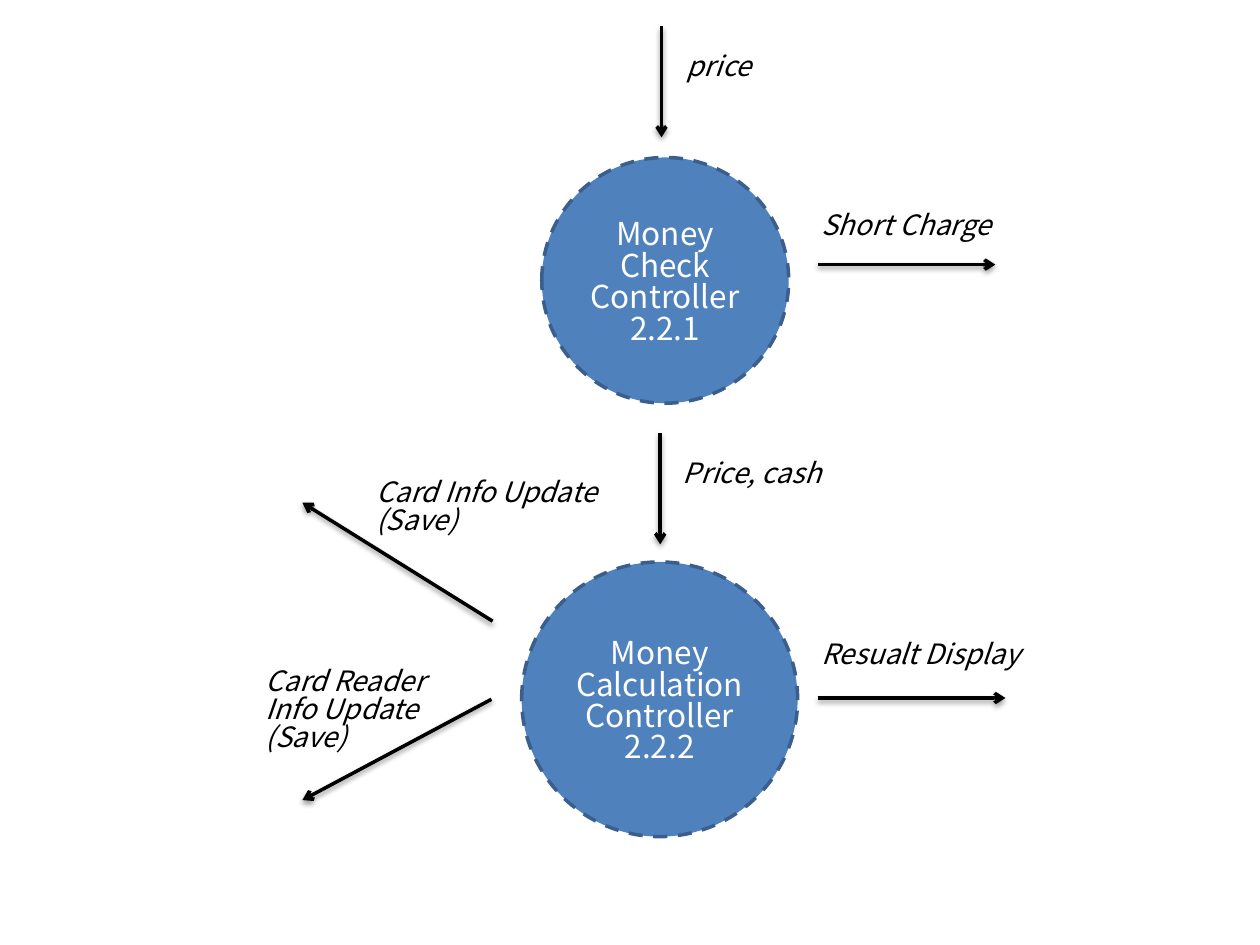
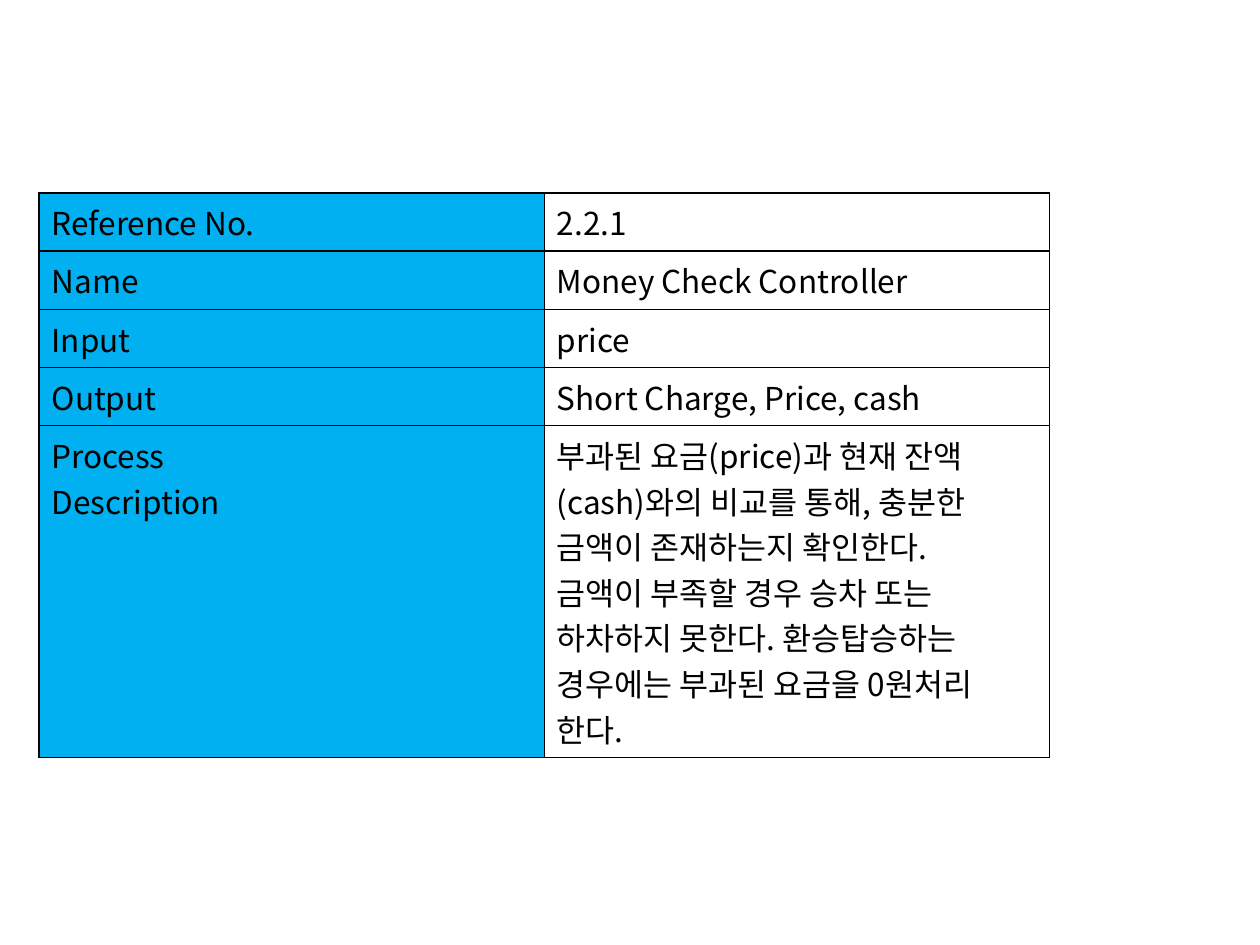
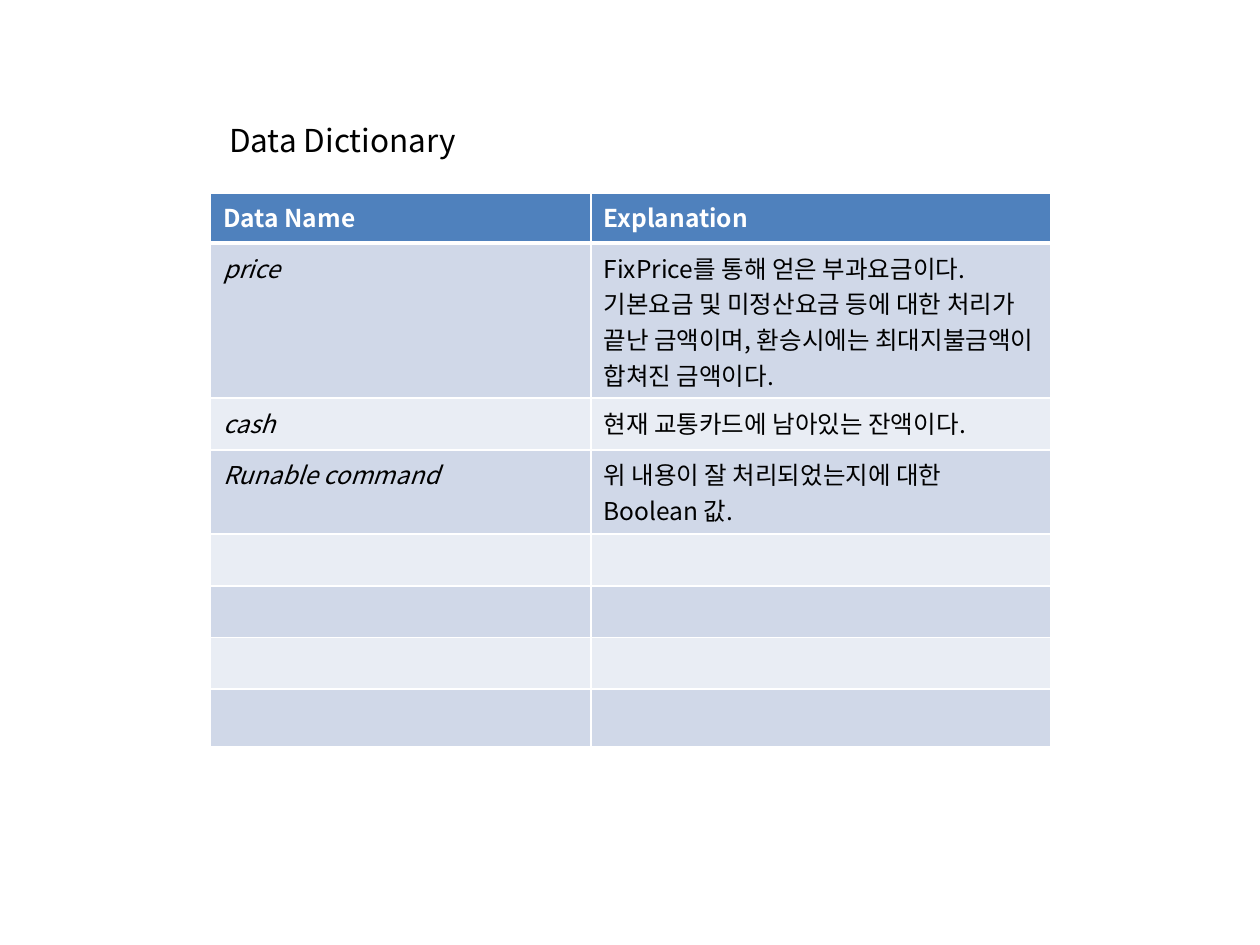
from lxml.etree import SubElement
from pptx import Presentation
from pptx.dml.color import RGBColor
from pptx.enum.dml import MSO_LINE
from pptx.enum.shapes import MSO_CONNECTOR, MSO_SHAPE
from pptx.enum.text import MSO_ANCHOR, PP_ALIGN
from pptx.oxml.ns import qn
from pptx.util import Inches, Pt

# Shared look
FONT = "Noto Sans CJK KR"
LINE_SPACING = 0.83
BLACK = RGBColor(0x00, 0x00, 0x00)
WHITE = RGBColor(0xFF, 0xFF, 0xFF)
BLUE = RGBColor(0x4F, 0x81, 0xBD)
DARK_BLUE = RGBColor(0x3A, 0x5F, 0x8C)
SKY = RGBColor(0x00, 0xB0, 0xF0)
BANDS = (RGBColor(0xD0, 0xD8, 0xE8), RGBColor(0xE9, 0xED, 0xF4))

# Data flow: left, top, width, height, lines of text
PROCESSES = [
    (4.3, 1.25, 1.96, 1.95, ["Money", "Check", "Controller", "2.2.1"]),
    (4.14, 4.46, 2.19, 2.18, ["Money", "Calculation", "Controller", "2.2.2"]),
]
FLOW_LABELS = [
    (5.35, 0.36, 2.66, 0.37, ["price"]),
    (6.42, 1.62, 2.66, 0.37, ["Short Charge"]),
    (5.32, 3.59, 2.66, 0.37, ["Price, cash"]),
    (2.89, 3.74, 2.18, 0.64, ["Card Info Update", "(Save)"]),
    (2.01, 5.24, 2.66, 0.91, ["Card Reader", "Info Update", "(Save)"]),
    (6.42, 5.03, 2.66, 0.37, ["Resualt Display"]),
]
# Start x, start y, end x, end y
FLOWS = [
    (5.25, 0.21, 5.25, 1.09),
    (6.49, 2.1, 7.9, 2.1),
    (5.24, 3.44, 5.24, 4.32),
    (3.91, 4.93, 2.4, 3.99),
    (3.9, 5.55, 2.4, 6.35),
    (6.49, 5.54, 7.98, 5.54),
]

PROCESS_ROWS = [
    (["Reference No."], ["2.2.1"]),
    (["Name"], ["Money Check Controller"]),
    (["Input"], ["price"]),
    (["Output"], ["Short Charge, Price, cash"]),
    (["Process", "Description"], [
        "부과된 요금(price)과 현재 잔액(cash)와의 비교를 통해, 충분한 금액이 존재하는지 확인한다.",
        "금액이 부족할 경우 승차 또는 하차하지 못한다. 환승탑승하는 경우에는 부과된 요금을 0원처리 한다.",
    ]),
]

DICTIONARY_HEADER = (["Data Name"], ["Explanation"])
DICTIONARY_ROWS = [
    (["price"], [
        "FixPrice를 통해 얻은 부과요금이다.",
        "기본요금 및 미정산요금 등에 대한 처리가 끝난 금액이며, 환승시에는 최대지불금액이 합쳐진 금액이다.",
    ]),
    (["cash"], ["현재 교통카드에 남아있는 잔액이다."]),
    (["Runable command"], ["위 내용이 잘 처리되었는지에 대한 Boolean 값."]),
]
EMPTY_ROWS = 4


def write_lines(frame, lines, size, color=BLACK, bold=False, italic=False,
                align=PP_ALIGN.LEFT, spacing=None):
    """Write each line as a paragraph of one run."""
    for index, line in enumerate(lines):
        para = frame.add_paragraph() if index else frame.paragraphs[0]
        para.alignment = align
        if spacing:
            para.line_spacing = spacing
        span = para.add_run()
        span.text = line
        span.font.name = FONT
        span.font.size = Pt(size)
        span.font.bold = bold
        span.font.italic = italic
        span.font.color.rgb = color
        SubElement(span.font._element, qn("a:ea"), typeface=FONT)


def add_label(page, left, top, width, height, lines, size=16, italic=True):
    box = page.shapes.add_textbox(Inches(left), Inches(top), Inches(width), Inches(height))
    box.text_frame.word_wrap = True
    box.text_frame.margin_top = Inches(0.07)
    write_lines(box.text_frame, lines, size, italic=italic, spacing=LINE_SPACING)


def add_process(page, left, top, width, height, lines):
    circle = page.shapes.add_shape(MSO_SHAPE.OVAL, Inches(left), Inches(top),
                                   Inches(width), Inches(height))
    circle.shadow.inherit = False
    circle.fill.solid()
    circle.fill.fore_color.rgb = BLUE
    circle.line.color.rgb = DARK_BLUE
    circle.line.width = Pt(2)
    circle.line.dash_style = MSO_LINE.DASH
    frame = circle.text_frame
    frame.word_wrap = False
    frame.vertical_anchor = MSO_ANCHOR.MIDDLE
    frame.margin_top = Inches(0.1)
    write_lines(frame, lines, 18, WHITE, align=PP_ALIGN.CENTER, spacing=LINE_SPACING)


def add_flow(page, start_x, start_y, end_x, end_y):
    """Draw an arrow with a soft shadow below it."""
    arrow = page.shapes.add_connector(MSO_CONNECTOR.STRAIGHT, Inches(start_x), Inches(start_y),
                                      Inches(end_x), Inches(end_y))
    arrow.line.color.rgb = BLACK
    arrow.line.width = Pt(2)
    SubElement(arrow.line._get_or_add_ln(), qn("a:tailEnd"), type="arrow")
    effects = SubElement(arrow._element.spPr, qn("a:effectLst"))
    shadow = SubElement(effects, qn("a:outerShdw"), blurRad=str(Pt(3.1)), dist=str(Pt(1.6)),
                        dir="5400000", rotWithShape="0")
    tint = SubElement(shadow, qn("a:srgbClr"), val=str(BLACK))
    SubElement(tint, qn("a:alpha"), val="38000")


def add_grid(page, left, top, columns, heights):
    grid = page.shapes.add_table(len(heights), len(columns), Inches(left), Inches(top),
                                 Inches(sum(columns)), Inches(sum(heights))).table
    grid.first_row = False
    grid.horz_banding = False
    for column, width in zip(grid.columns, columns):
        column.width = Inches(width)
    for row, height in zip(grid.rows, heights):
        row.height = Inches(height)
    return grid


def style_cell(cell, fill, border, top=1, bottom=1):
    """Set the four borders, then the fill."""
    properties = cell._tc.get_or_add_tcPr()
    for side, width in (("L", 1), ("R", 1), ("T", top), ("B", bottom)):
        edge = SubElement(properties, qn(f"a:ln{side}"), w=str(Pt(width)))
        paint = SubElement(edge, qn("a:solidFill"))
        SubElement(paint, qn("a:srgbClr"), val=str(border))
    if fill is None:
        cell.fill.background()
    else:
        cell.fill.solid()
        cell.fill.fore_color.rgb = fill


def build_data_flow(page):
    for process in PROCESSES:
        add_process(page, *process)
    for flow in FLOWS:
        add_flow(page, *flow)
    for label in FLOW_LABELS:
        add_label(page, *label)


def build_process_table(page):
    heights = [0.46] * (len(PROCESS_ROWS) - 1) + [2.63]
    grid = add_grid(page, 0.31, 1.53, [4.01, 4.01], heights)
    for row, texts in zip(grid.rows, PROCESS_ROWS):
        for cell, lines, fill in zip(row.cells, texts, (SKY, None)):
            style_cell(cell, fill, BLACK)
            write_lines(cell.text_frame, lines, 18)


def build_dictionary(page):
    add_label(page, 1.72, 0.94, 4.3, 0.4, ["Data Dictionary"], size=18, italic=False)
    body = DICTIONARY_ROWS + [([], [])] * EMPTY_ROWS
    heights = [0.4, 1.23, 0.41, 0.67] + [0.41] * (EMPTY_ROWS - 1) + [0.46]
    grid = add_grid(page, 1.67, 1.53, [3.02, 3.65], heights)

    # Header row with a thick rule under it
    for cell, lines in zip(grid.rows[0].cells, DICTIONARY_HEADER):
        style_cell(cell, BLUE, WHITE, bottom=3)
        write_lines(cell.text_frame, lines, 14, WHITE, bold=True)

    # Banded rows, names in italics
    for index, texts in enumerate(body):
        for column, lines in enumerate(texts):
            cell = grid.cell(index + 1, column)
            style_cell(cell, BANDS[index % 2], WHITE, top=1 if index else 3)
            write_lines(cell.text_frame, lines, 14, italic=column == 0)
            if not lines:
                SubElement(cell.text_frame.paragraphs[0]._p, qn("a:endParaRPr"), sz="1400")


def main():
    deck = Presentation()
    deck.slide_width = Inches(10)
    deck.slide_height = Inches(7.5)
    for build in (build_data_flow, build_process_table, build_dictionary):
        build(deck.slides.add_slide(deck.slide_layouts[6]))
    deck.save("out.pptx")


if __name__ == "__main__":
    main()
